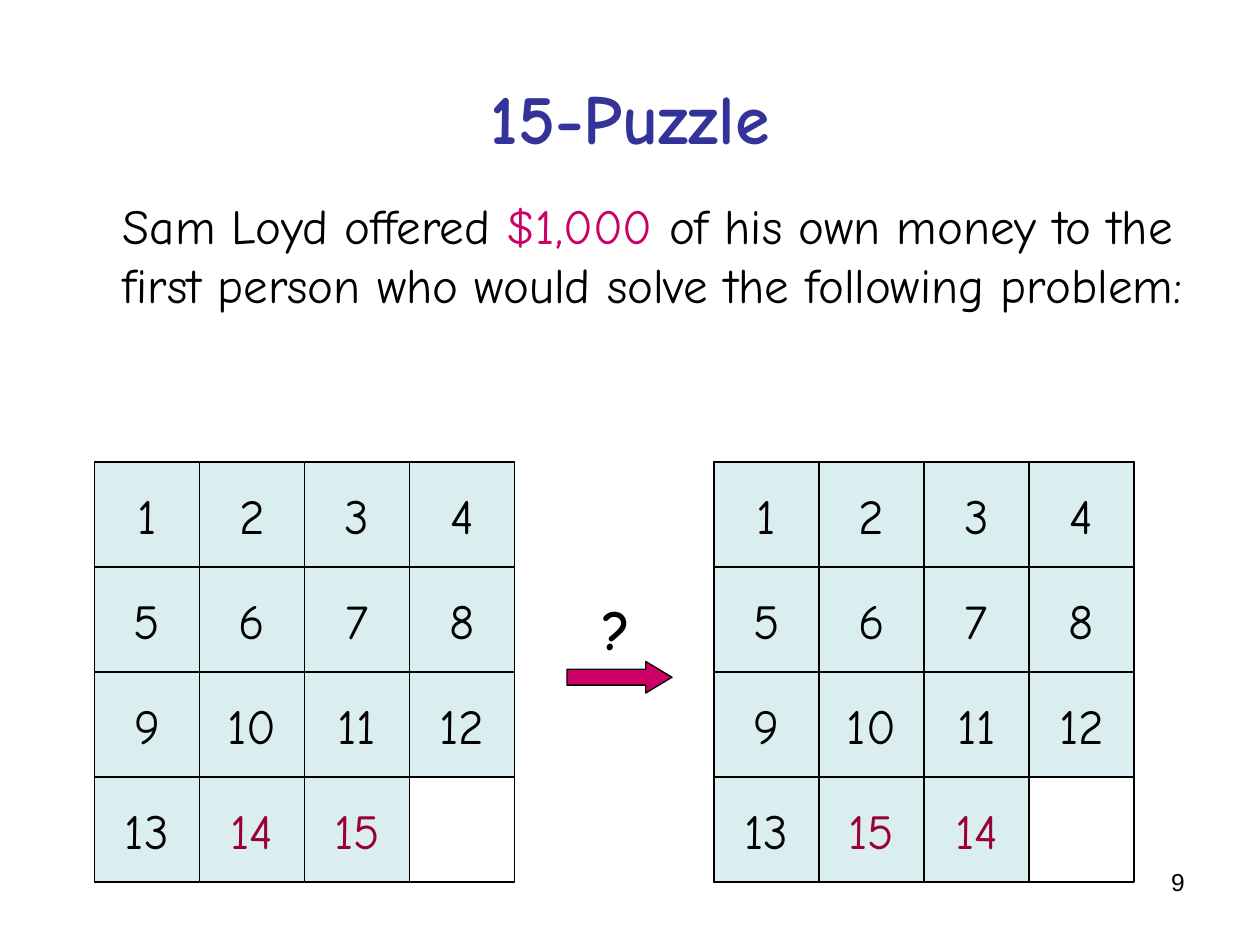
from dataclasses import dataclass
from typing import Any

from pptx import Presentation
from pptx.dml.color import RGBColor
from pptx.enum.shapes import MSO_SHAPE as Preset
from pptx.enum.text import MSO_ANCHOR as Anchor, PP_ALIGN as Align
from pptx.util import Pt

BLACK = RGBColor(0x00, 0x00, 0x00)
NAVY = RGBColor(0x33, 0x33, 0x99)
MAGENTA = RGBColor(0xCC, 0x00, 0x66)
CRIMSON = RGBColor(0x99, 0x00, 0x33)
PALE_TEAL = RGBColor(0xDA, 0xEE, 0xF0)

COMIC = "Comic Neue"
TILE = 60
COLUMNS = 4
BOARD_TOP = 264
SWAPPED = (14, 15)

TITLE_FONT = {"name": COMIC, "size": Pt(40), "bold": True}
BODY_FONT = {"name": COMIC, "size": Pt(28)}
QUESTION_FONT = {"name": COMIC, "size": Pt(32), "bold": True}
NUMBER_FONT = {"name": "Arial", "size": Pt(14)}


@dataclass(frozen=True)
class Box:
    left: float
    top: float
    width: float
    height: float

    def lengths(self) -> tuple[Pt, ...]:
        return tuple(Pt(n) for n in (self.left, self.top, self.width, self.height))


@dataclass(frozen=True)
class Run:
    text: str
    color: RGBColor = BLACK


@dataclass(frozen=True)
class Board:
    left: float
    numbers: tuple[int, ...]


def set_attributes(target: Any, values: dict[str, Any]) -> None:
    for name, value in values.items():
        setattr(target, name, value)


def write(shape: Any, runs: list[Run], font: dict[str, Any],
          align: Align = Align.LEFT, **frame: Any) -> None:
    set_attributes(shape.text_frame, {"word_wrap": True, **frame})
    paragraph = shape.text_frame.paragraphs[0]
    paragraph.alignment = align
    for part in runs:
        run = paragraph.add_run()
        run.text = part.text
        set_attributes(run.font, font)
        run.font.color.rgb = part.color


def draw_shape(shapes: Any, preset: Preset, box: Box, fill: RGBColor | None = None) -> Any:
    shape = shapes.add_shape(preset, *box.lengths())
    shape.shadow.inherit = False
    if fill is None:
        shape.fill.background()
    else:
        shape.fill.solid()
        shape.fill.fore_color.rgb = fill
    shape.line.color.rgb = BLACK
    shape.line.width = Pt(0.75)
    return shape


def draw_board(shapes: Any, board: Board) -> None:
    group = shapes.add_group_shape().shapes
    side = TILE * COLUMNS
    draw_shape(group, Preset.RECTANGLE, Box(board.left, BOARD_TOP, side, side))
    for index, number in enumerate(board.numbers):
        row, column = divmod(index, COLUMNS)
        box = Box(board.left + column * TILE, BOARD_TOP + row * TILE, TILE, TILE)
        tile = draw_shape(group, Preset.RECTANGLE, box, PALE_TEAL)
        color = CRIMSON if number in SWAPPED else BLACK
        write(tile, [Run(str(number), color)], BODY_FONT, Align.CENTER,
              word_wrap=False, vertical_anchor=Anchor.MIDDLE)


def main() -> None:
    presentation = Presentation()
    presentation.slide_width, presentation.slide_height = Pt(720), Pt(540)
    slide = presentation.slides.add_slide(presentation.slide_layouts[6])
    shapes = slide.shapes

    title = shapes.add_textbox(*Box(36, 21.6, 648, 90).lengths())
    write(title, [Run("15-Puzzle", NAVY)], TITLE_FONT, Align.CENTER,
          vertical_anchor=Anchor.MIDDLE)

    offer = [
        Run("Sam Loyd offered "),
        Run("$1,000", MAGENTA),
        Run(" of his own money to the first person who would solve the following problem:"),
    ]
    body = shapes.add_textbox(*Box(36, 108, 666, 356.4).lengths())
    write(body, offer, BODY_FONT, margin_left=Pt(34.2))

    ordered = tuple(range(1, 14))
    for board in (Board(408, ordered + (15, 14)), Board(54, ordered + (14, 15))):
        draw_board(shapes, board)

    arrow = draw_shape(shapes, Preset.RIGHT_ARROW, Box(324, 378, 60, 18), MAGENTA)
    arrow.adjustments[0], arrow.adjustments[1] = 0.5, 0.83
    question = shapes.add_textbox(*Box(337, 336, 30, 46).lengths())
    write(question, [Run("?")], QUESTION_FONT, word_wrap=False)

    number = shapes.add_textbox(*Box(516, 492, 168, 37.5).lengths())
    write(number, [Run("9")], NUMBER_FONT, Align.RIGHT)

    presentation.save("out.pptx")


if __name__ == "__main__":
    main()
